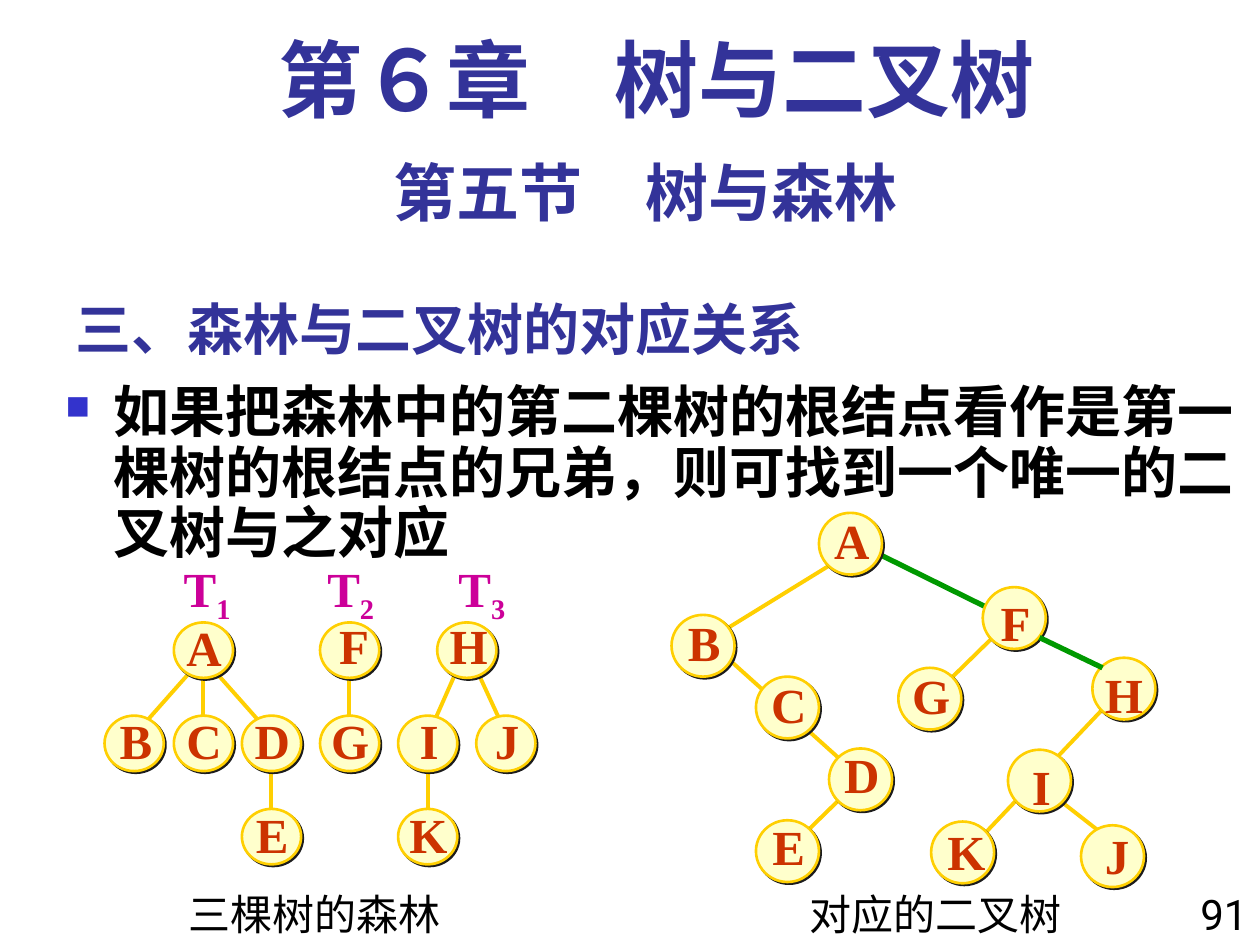
from lxml import etree
from pptx import Presentation
from pptx.dml.color import RGBColor
from pptx.enum.shapes import MSO_CONNECTOR as CONNECTOR, MSO_SHAPE as SHAPE
from pptx.enum.text import MSO_ANCHOR as ANCHOR, MSO_AUTO_SIZE as AUTO_SIZE, PP_ALIGN as ALIGN
from pptx.oxml.ns import qn
from pptx.util import Inches, Pt

CJK = "Noto Sans CJK SC"
SERIF = "Times New Roman"
SANS = "Roboto"
NAVY, BLACK, RED, MAGENTA = "333399", "000000", "CC3300", "CC0099"
YELLOW, GREEN, CREAM, SHADOW = "FFCF01", "009900", "FFFFCC", "1C1C1C"


def rgb(value):
    return RGBColor.from_string(value)


def write(shape, text, size=24, font=SANS, color=BLACK, bold=False,
          align=ALIGN.LEFT, anchor=ANCHOR.TOP, wrap=True):
    """Fill a shape with one paragraph; a digit after "_" is a subscript."""
    frame = shape.text_frame
    frame.auto_size = AUTO_SIZE.NONE
    frame.word_wrap = wrap
    frame.vertical_anchor = anchor
    paragraph = frame.paragraphs[0]
    paragraph.alignment = align
    for number, part in enumerate(text.split("_")):
        pieces = [part] if number == 0 else [part[0], part[1:]]
        for position, piece in enumerate(pieces):
            if not piece:
                continue
            run = paragraph.add_run()
            run.text = piece
            run.font.size = Pt(size)
            run.font.bold = bold
            run.font.name = font
            run.font.color.rgb = rgb(color)
            properties = run._r.get_or_add_rPr()
            etree.SubElement(properties, qn("a:ea"), typeface=CJK)
            if number > 0 and position == 0:
                properties.set("baseline", "-25000")
    return paragraph


presentation = Presentation()
presentation.slide_width = Inches(10)
presentation.slide_height = Inches(7.5)
slide = presentation.slides.add_slide(presentation.slide_layouts[5])

# Section title
title = slide.shapes.title
title.left, title.top = Inches(0.5), Inches(2.17)
title.width, title.height = Inches(6.25), Inches(0.75)
write(title, "三、森林与二叉树的对应关系", size=32, font=CJK, color=NAVY, bold=True,
      anchor=ANCHOR.BOTTOM)

# Headings, captions and page number
heading = dict(color=NAVY, bold=True, align=ALIGN.CENTER)
texts = [
    ("第６章　树与二叉树", (0.67, 0.17, 9.08, 0.83), dict(heading, size=48, font=SERIF)),
    ("第五节　树与森林", (0.5, 1.17, 9.25, 0.7), dict(heading, size=36)),
    ("三棵树的森林", (1.25, 7, 2.5, 0.5), dict(align=ALIGN.CENTER)),
    ("对应的二叉树", (6.33, 7, 2.33, 0.5), {}),
    ("91", (9.33, 7, 0.67, 0.59), dict(align=ALIGN.RIGHT)),
]
for text, place, style in texts:
    write(slide.shapes.add_textbox(*map(Inches, place)), text, **style)

# Bulleted statement
body = slide.shapes.add_textbox(Inches(0.42), Inches(3), Inches(9.58), Inches(4.5))
paragraph = write(
    body,
    "如果把森林中的第二棵树的根结点看作是第一棵树的根结点的兄弟，则可找到一个唯一的二叉树与之对应",
    size=32, font=CJK, bold=True)
paragraph.line_spacing = 0.9
properties = paragraph._p.get_or_add_pPr()
properties.set("marL", str(Inches(0.38)))
properties.set("indent", str(-Inches(0.38)))
bullet_color = etree.SubElement(properties, qn("a:buClr"))
etree.SubElement(bullet_color, qn("a:srgbClr"), val="3333CC")
etree.SubElement(properties, qn("a:buSzPct"), val="60000")
etree.SubElement(properties, qn("a:buChar"), char="■")

# Names of the three trees, spaced by tab stops
names = slide.shapes.add_textbox(Inches(1.36), Inches(4.38), Inches(2.77), Inches(0.63))
paragraph = write(names, "T_1\tT_2\tT_3", size=28, font=SERIF, color=MAGENTA, bold=True,
                  anchor=ANCHOR.MIDDLE)
tab_list = etree.SubElement(paragraph._p.get_or_add_pPr(), qn("a:tabLst"))
for stop in (1.14, 2.18):
    etree.SubElement(tab_list, qn("a:tab"), pos=str(Inches(stop)), algn="l")

# Nodes: letter, circle left and top, label left and top
forest_nodes = [
    ("A", 1.38, 4.94, 1.38, 4.85), ("F", 2.54, 4.94, 2.59, 4.83),
    ("H", 3.47, 4.94, 3.47, 4.83), ("B", 0.83, 5.68, 0.85, 5.59),
    ("C", 1.38, 5.68, 1.38, 5.59), ("D", 1.92, 5.68, 1.92, 5.59),
    ("G", 2.54, 5.68, 2.53, 5.59), ("I", 3.16, 5.68, 3.23, 5.59),
    ("J", 3.78, 5.68, 3.83, 5.59), ("E", 1.92, 6.42, 1.93, 6.33),
    ("K", 3.16, 6.42, 3.15, 6.33),
]
binary_nodes = [
    ("A", 6.5, 4.07, 6.52, 4), ("B", 5.33, 4.88, 5.36, 4.81),
    ("C", 6, 5.37, 6.02, 5.3), ("D", 6.58, 5.94, 6.6, 5.86),
    ("E", 6, 6.51, 6.03, 6.43), ("F", 7.8, 4.66, 7.84, 4.65),
    ("G", 7.13, 5.3, 7.14, 5.23), ("H", 8.67, 5.22, 8.67, 5.22),
    ("I", 8, 5.95, 8.09, 5.95), ("K", 7.39, 6.52, 7.42, 6.47),
    ("J", 8.58, 6.55, 8.67, 6.5),
]

# Edges: start x and y, end x and y
forest_edges = [
    (3.78, 5.31, 4.02, 5.83), (3.63, 5.31, 3.4, 5.83), (1.69, 5.31, 2.08, 5.75),
    (1.53, 5.31, 1.14, 5.75), (3.4, 6.05, 3.4, 6.49), (2.15, 6.05, 2.15, 6.49),
    (2.77, 5.31, 2.77, 5.75), (1.61, 5.31, 1.61, 5.75),
]
binary_edges = [
    (6.75, 6.26, 6.33, 6.67), (5.67, 5.13, 6.75, 6.1), (6.58, 4.49, 5.67, 5.05),
    (8.42, 6.36, 8.83, 6.68), (8.75, 5.63, 7.83, 6.6), (7.96, 4.98, 7.46, 5.47),
]
sibling_edges = [(7, 4.41, 7.83, 4.82), (8.25, 5.06, 8.75, 5.3)]

label_widths = dict(A=0.48, B=0.46, C=0.48, D=0.48, E=0.46, F=0.44,
                    G=0.5, H=0.5, I=0.35, J=0.39, K=0.5)

# Both diagrams: edges under circles, root-sibling edges on top
for nodes, edges, siblings, width, height in (
        (forest_nodes, forest_edges, [], 0.47, 0.44),
        (binary_nodes, binary_edges, sibling_edges, 0.5, 0.49)):
    group = slide.shapes.add_group_shape()
    connectors = []
    for ends, color, weight in ([(edge, YELLOW, 2.25) for edge in edges]
                                + [(edge, GREEN, 3) for edge in siblings]):
        connector = group.shapes.add_connector(CONNECTOR.STRAIGHT, *map(Inches, ends))
        connector.line.color.rgb = rgb(color)
        connector.line.width = Pt(weight)
        etree.SubElement(connector._element.spPr, qn("a:effectLst"))
        connectors.append(connector)

    for letter, left, top, label_left, label_top in nodes:
        circle = group.shapes.add_shape(SHAPE.OVAL, Inches(left), Inches(top),
                                        Inches(width), Inches(height))
        circle.fill.solid()
        circle.fill.fore_color.rgb = rgb(CREAM)
        circle.line.color.rgb = rgb(YELLOW)
        circle.line.width = Pt(1.5)
        effects = etree.SubElement(circle._element.spPr, qn("a:effectLst"))
        shadow = etree.SubElement(effects, qn("a:outerShdw"), dist=str(Pt(1.4)),
                                  dir="2700000", algn="ctr", rotWithShape="0")
        etree.SubElement(shadow, qn("a:srgbClr"), val=SHADOW)

    for letter, left, top, label_left, label_top in nodes:
        label = group.shapes.add_textbox(Inches(label_left), Inches(label_top),
                                         Inches(label_widths[letter]), Inches(0.57))
        write(label, letter, size=28, font=SERIF, color=RED, bold=True,
              align=ALIGN.CENTER, anchor=ANCHOR.MIDDLE, wrap=False)

    # The last sibling edge overlaps its circle
    if siblings:
        group._element.append(connectors[-1]._element)

presentation.save("out.pptx")
